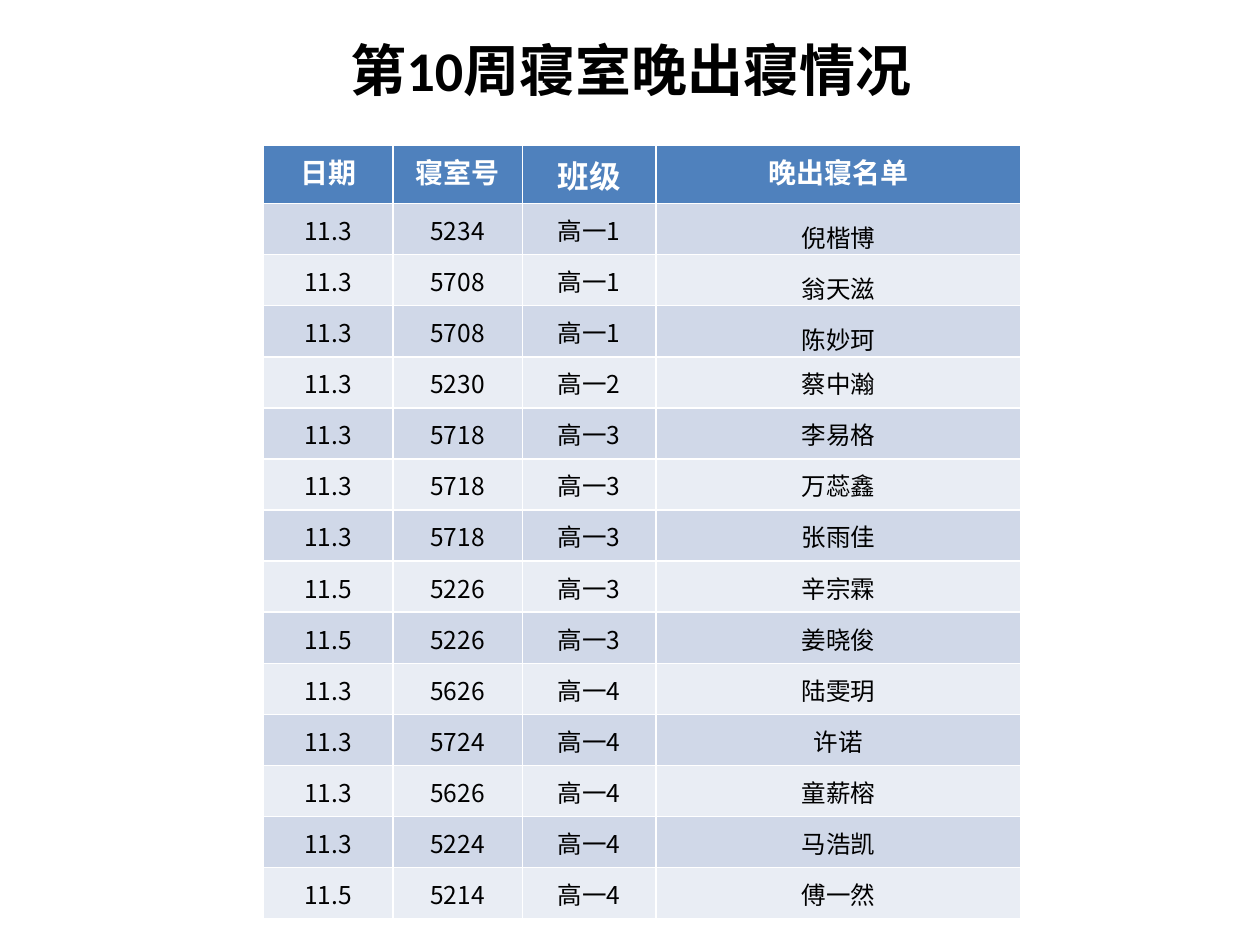
from dataclasses import dataclass

from lxml.etree import SubElement
from pptx import Presentation
from pptx.dml.color import RGBColor as RGB
from pptx.enum.text import MSO_ANCHOR as Anchor, PP_ALIGN as Align
from pptx.oxml.ns import qn
from pptx.util import Pt


@dataclass(frozen=True)
class Theme:
    latin: str = "Calibri"
    asian: str = "Noto Sans CJK SC"
    ink: str = "000000"
    paper: str = "FFFFFF"
    head: str = "4F81BD"
    bands: tuple = ("D0D8E8", "E9EDF4")
    title: int = 32
    label: int = 16
    large: int = 18
    body: int = 14


HEADS = ("日期", "寝室号", "班级", "晚出寝名单")
ROWS = (
    ("11.3", "5234", "高一1", "倪楷博"),
    ("11.3", "5708", "高一1", "翁天滋"),
    ("11.3", "5708", "高一1", "陈妙珂"),
    ("11.3", "5230", "高一2", "蔡中瀚"),
    ("11.3", "5718", "高一3", "李易格"),
    ("11.3", "5718", "高一3", "万蕊鑫"),
    ("11.3", "5718", "高一3", "张雨佳"),
    ("11.5", "5226", "高一3", "辛宗霖"),
    ("11.5", "5226", "高一3", "姜晓俊"),
    ("11.3", "5626", "高一4", "陆雯玥"),
    ("11.3", "5724", "高一4", "许诺"),
    ("11.3", "5626", "高一4", "童薪榕"),
    ("11.3", "5224", "高一4", "马浩凯"),
    ("11.5", "5214", "高一4", "傅一然"),
)
WIDTHS = (74, 74, 76.5, 208.5)
HEIGHT = 29.2
LOW_ROWS = 3  # first names sit at the foot of their cells


def assign(item, values):
    for name, value in values.items():
        setattr(item, name, value)


class Painter:
    def __init__(self, slide, theme):
        self.slide = slide
        self.theme = theme

    def line(self, frame, text, color, **font):
        """Fill a text frame with one centred line in Latin and Asian fonts."""
        para = frame.paragraphs[0]
        para.alignment = Align.CENTER
        run = para.add_run()
        run.text = text
        assign(run.font, {"name": self.theme.latin, **font})
        run.font.color.rgb = RGB.from_string(color)
        asian = SubElement(run._r.get_or_add_rPr(), qn("a:ea"))
        asian.set("typeface", self.theme.asian)

    def title(self, text, left, top, width, height):
        shape = self.slide.shapes.title
        assign(shape, {"left": Pt(left), "top": Pt(top),
                       "width": Pt(width), "height": Pt(height)})
        shape.text_frame.vertical_anchor = Anchor.MIDDLE
        self.line(shape.text_frame, text, self.theme.ink,
                  size=Pt(self.theme.title), bold=True)

    def cell(self, cell, text, fill, color, form, **font):
        cell.fill.solid()
        cell.fill.fore_color.rgb = RGB.from_string(fill)
        assign(cell, form)
        self.line(cell.text_frame, text, color, **font)

    def table(self, heads, rows, left, top, widths, height):
        look = self.theme
        count = len(rows) + 1
        grid = self.slide.shapes.add_table(
            count, len(heads), Pt(left), Pt(top),
            Pt(sum(widths)), Pt(height * count)).table
        for col, width in zip(grid.columns, widths):
            col.width = Pt(width)
        for row in grid.rows:
            row.height = Pt(height)
        for col, text in enumerate(heads):
            size = look.large if text == "班级" else look.label
            self.cell(grid.cell(0, col), text, look.head, look.paper, {},
                      size=Pt(size), bold=True)
        inset = {"margin_left": Pt(0.75), "margin_right": Pt(0.75),
                 "margin_top": Pt(0.75), "margin_bottom": 0}
        for row, texts in enumerate(rows):
            for col, text in enumerate(texts):
                low = row < LOW_ROWS and col == len(heads) - 1
                form = {**inset, "vertical_anchor":
                        Anchor.BOTTOM if low else Anchor.MIDDLE}
                self.cell(grid.cell(row + 1, col), text, look.bands[row % 2],
                          look.ink, form, size=Pt(look.body), bold=False,
                          name=look.asian)


def main():
    deck = Presentation()
    assign(deck, {"slide_width": Pt(720), "slide_height": Pt(540)})
    slide = deck.slides.add_slide(deck.slide_layouts[5])
    paint = Painter(slide, Theme())
    paint.title("第10周寝室晚出寝情况", 36.7, 1.5, 648, 75.6)
    paint.table(HEADS, ROWS, 150.5, 83, WIDTHS, HEIGHT)
    deck.save("out.pptx")


if __name__ == "__main__":
    main()
